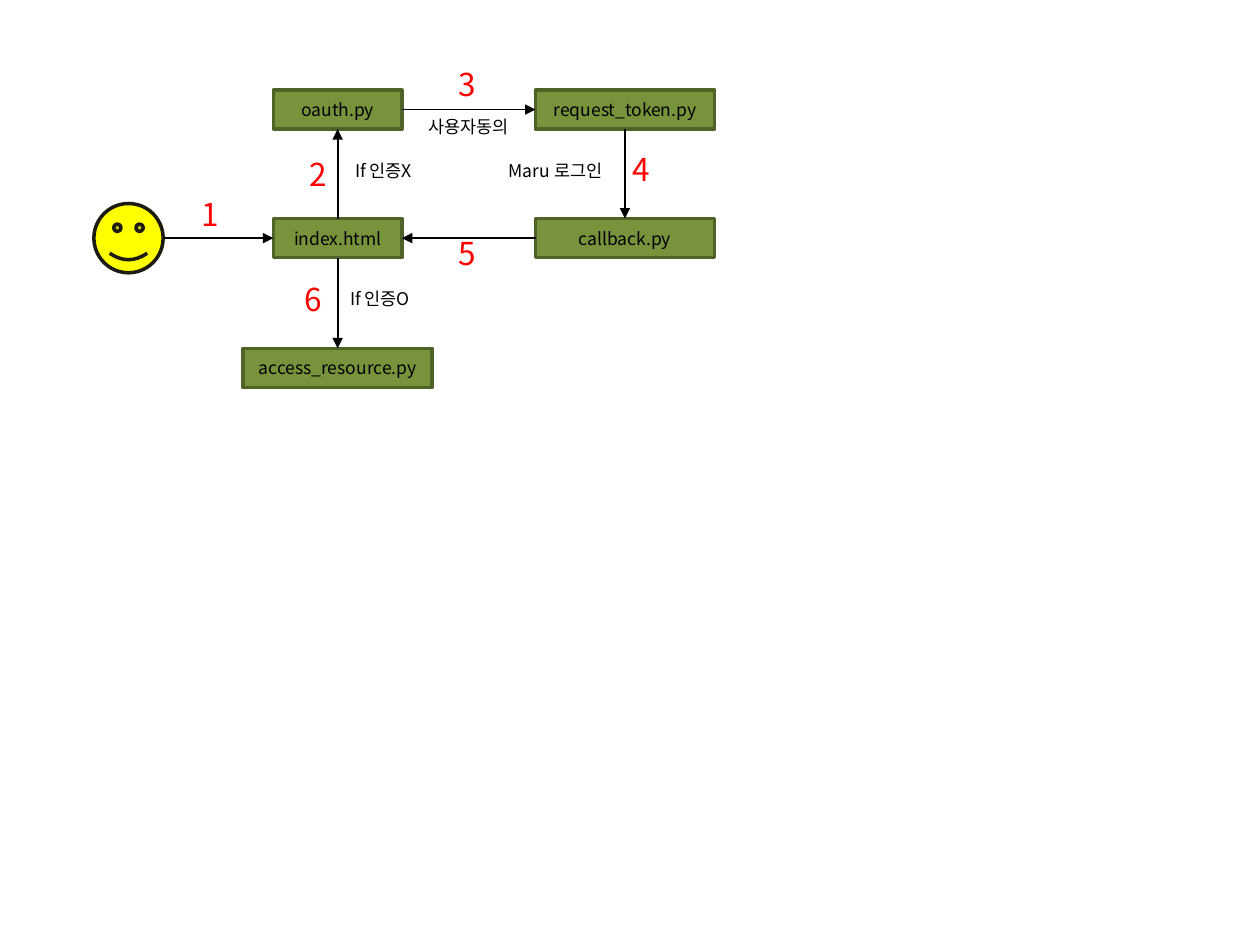
from pptx import Presentation
from pptx.dml.color import RGBColor
from pptx.enum.shapes import MSO_CONNECTOR as Conn, MSO_SHAPE as Shape
from pptx.enum.text import MSO_ANCHOR as Anchor, PP_ALIGN as Align
from pptx.oxml.ns import qn
from pptx.util import Inches, Pt
from lxml.etree import SubElement

FONT = "Noto Sans CJK KR"
BLACK = RGBColor(0x00, 0x00, 0x00)
RED = RGBColor(0xFF, 0x00, 0x00)
GREEN = RGBColor(0x77, 0x93, 0x3C)
DARK_GREEN = RGBColor(0x4F, 0x62, 0x28)
YELLOW = RGBColor(0xFF, 0xFF, 0x00)
DARK = RGBColor(0x1E, 0x1C, 0x11)

# Centres of the grid, and connection sites of a rectangle
COL_1, COL_2 = 2.68, 4.96
ROW_1, ROW_2, ROW_3 = 0.87, 1.89, 2.92
TOP, LEFT, BOTTOM, RIGHT = range(4)


class FlowSlide:
    """Style and drawing methods for one flow diagram slide."""

    def __init__(self, s):
        self.s = s

    def add_text(self, tf, text, size, color):
        tf.word_wrap = True
        r = tf.paragraphs[0].add_run()
        r.text = text
        r.font.name = FONT
        r.font.size = Pt(size)
        r.font.color.rgb = color
        SubElement(r.font._element, qn("a:ea"), typeface=FONT)

    def shape(self, kind, cx, cy, w, h, fill, line):
        sp = self.s.shapes.add_shape(kind, Inches(cx - w / 2), Inches(cy - h / 2),
                                     Inches(w), Inches(h))
        sp.shadow.inherit = False
        sp.fill.solid()
        sp.fill.fore_color.rgb = fill
        sp.line.color.rgb = line
        sp.line.width = Pt(2)
        return sp

    def box(self, text, cx, cy, w):
        sp = self.shape(Shape.RECTANGLE, cx, cy, w, 0.31, GREEN, DARK_GREEN)
        tf = sp.text_frame
        tf.vertical_anchor = Anchor.MIDDLE
        tf.paragraphs[0].alignment = Align.CENTER
        self.add_text(tf, text, 10, BLACK)
        return sp

    def label(self, text, x, y, w, h=0.26, size=10, color=BLACK):
        sp = self.s.shapes.add_textbox(Inches(x), Inches(y), Inches(w), Inches(h))
        self.add_text(sp.text_frame, text, size, color)

    def step(self, number, x, y):
        self.label(str(number), x, y, 0.47, 0.4, 18, RED)

    def arrow(self, end, end_site, start=None, start_site=None, at=(0, 0)):
        x, y = Inches(at[0]), Inches(at[1])
        c = self.s.shapes.add_connector(Conn.STRAIGHT, x, y, x, y)
        if start is not None:
            c.begin_connect(start, start_site)
        c.end_connect(end, end_site)
        c.line.color.rgb = BLACK
        c.line.width = Pt(1)
        SubElement(c.line._get_or_add_ln(), qn("a:tailEnd"), type="triangle")
        SubElement(c._element.spPr, qn("a:effectLst"))


def main():
    prs = Presentation()
    prs.slide_width, prs.slide_height = Inches(10), Inches(7.5)
    flow = FlowSlide(prs.slides.add_slide(prs.slide_layouts[6]))

    # User and pages
    flow.shape(Shape.SMILEY_FACE, 1.02, ROW_2, 0.55, 0.55, YELLOW, DARK)
    index = flow.box("index.html", COL_1, ROW_2, 1.02)
    oauth = flow.box("oauth.py", COL_1, ROW_1, 1.02)
    request = flow.box("request_token.py", COL_2, ROW_1, 1.42)
    access = flow.box("access_resource.py", COL_1, ROW_3, 1.5)
    callback = flow.box("callback.py", COL_2, ROW_2, 1.42)

    # Arrows
    flow.arrow(index, LEFT, at=(1.3, ROW_2))
    flow.arrow(oauth, BOTTOM, index, TOP)
    flow.arrow(access, TOP, index, BOTTOM)
    flow.arrow(request, LEFT, oauth, RIGHT)
    flow.arrow(callback, TOP, request, BOTTOM)
    flow.arrow(index, RIGHT, callback, LEFT)

    # Conditions and actions
    flow.label("If 인증X", 2.72, 1.22, 0.71)
    flow.label("If 인증O", 2.68, 2.24, 0.71, 0.44)
    flow.label("사용자동의", 3.3, 0.87, 1.34)
    flow.label("Maru 로그인", 3.94, 1.22, 1.34)

    # Step numbers
    places = [(1.5, 1.5), (2.36, 1.18), (3.54, 0.47),
              (4.92, 1.14), (3.54, 1.81), (2.32, 2.17)]
    for number, (x, y) in enumerate(places, 1):
        flow.step(number, x, y)

    prs.save("out.pptx")


if __name__ == "__main__":
    main()
